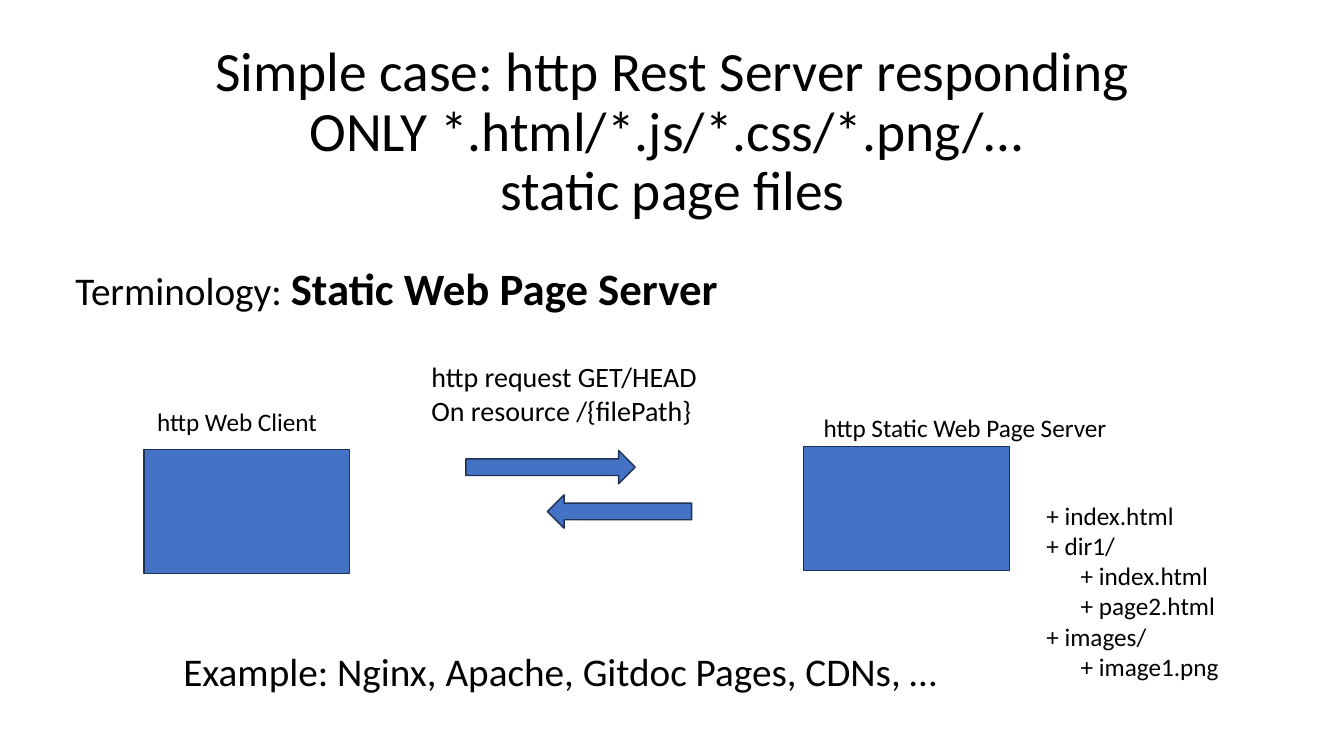
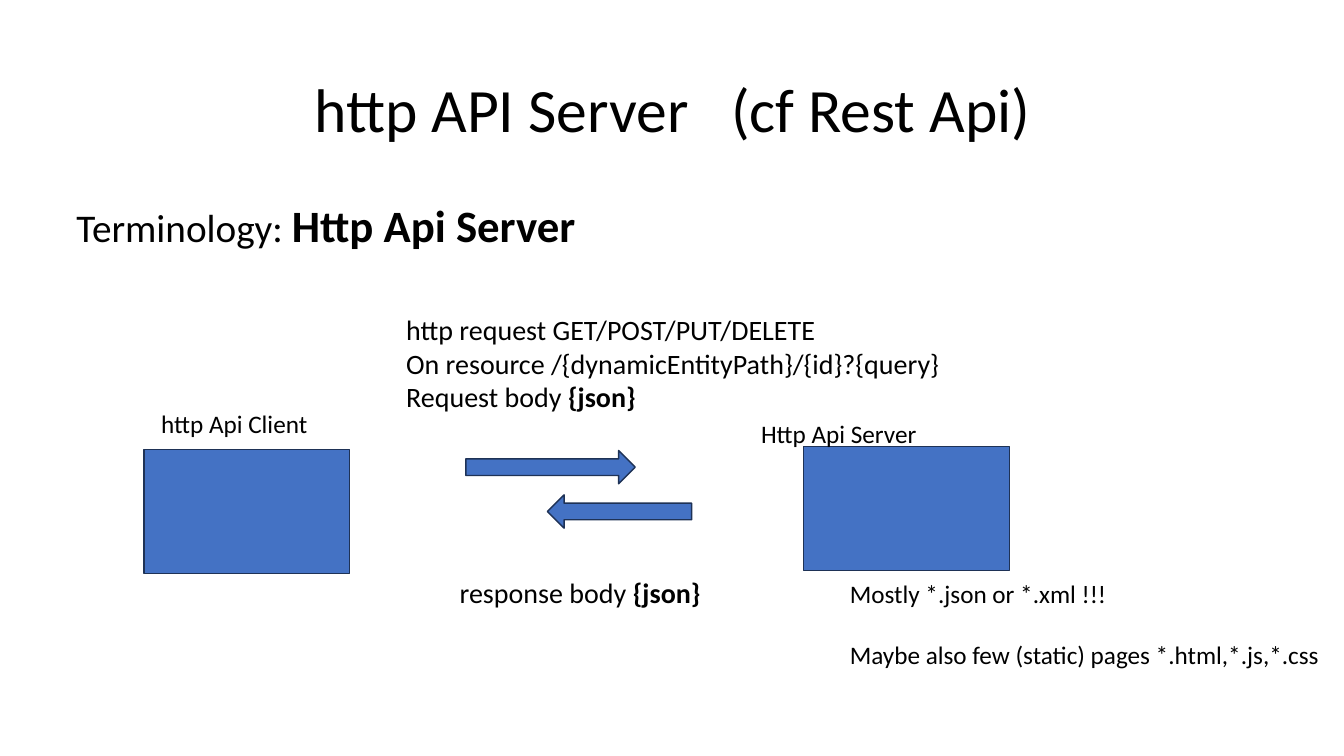
from pptx import Presentation
from pptx.dml.color import RGBColor
from pptx.enum.shapes import MSO_SHAPE
from pptx.enum.text import MSO_ANCHOR, MSO_AUTO_SIZE, PP_ALIGN
from pptx.util import Pt

PX = 9144  # 100 px to the inch
BLACK, BLUE, NAVY = "000000", "4472C4", "1E3256"
TREE_INDENT = 34
BOLD = {"bold": True}


def color(value):
    return RGBColor.from_string(value)


def add_runs(p, runs, size):
    """Add (text, format) runs; format holds font attributes and may hold spc.

    A newline in the text becomes a line break.
    """
    for text, fmt in runs:
        values = {"name": "Calibri", "size": Pt(size)} | fmt
        spc = values.pop("spc", None)
        for i, line in enumerate(text.split("\n")):
            if i:
                p.add_line_break()
            r = p.add_run()
            r.text = line
            r.font.color.rgb = color(BLACK)
            if spc:
                r._r.get_or_add_rPr().set("spc", str(spc))
            for name, value in values.items():
                setattr(r.font, name, value)


# Parts of the diagram that both slides share
DIAGRAM = [
    (MSO_SHAPE.RECTANGLE, (143, 446, 204, 123)),
    (MSO_SHAPE.RECTANGLE, (797, 443, 204, 123)),
    (MSO_SHAPE.RIGHT_ARROW, (462, 447, 168, 33)),
    (MSO_SHAPE.LEFT_ARROW, (543, 491, 143, 33)),
]

# Each text: box, size, paragraphs of (runs, left indent, points before)
SLIDES = [
    {
        "title": [("Simple case: http Rest Server responding\n"
                   "ONLY *.html/*.js/*.css/*.png/… \nstatic page files", {})],
        "title_box": (92, 40, 1150, 184),
        "title_size": 39.6,
        "texts": [
            ((65, 254, 663, 64), 28, [
                ([("Terminology: ", {}),
                  ("Static Web Page Server", BOLD | {"size": Pt(32)})], 0, 0)]),
            ((172, 637, 781, 57), 28, [
                ([("Example: Nginx, Apache, Gitdoc Pages, CDNs, …", {})], 0, 0)]),
            ((418, 352, 290, 77), 20, [
                ([("http request GET/HEAD", {})], 0, 0),
                ([("On resource /{filePath}", {})], 0, 0)]),
            ((807, 404, 305, 40), 18, [
                ([("http Static Web Page Server", {})], 0, 0)]),
            ((146, 398, 181, 40), 18, [([("http Web Client", {})], 0, 0)]),
            ((1028, 491, 193, 192), 18, [
                ([("+ " + name, {})], level * TREE_INDENT, 0)
                for name, level in [
                    ("index.html", 0), ("dir1/", 0), ("index.html", 1),
                    ("page2.html", 1), ("images/", 0), ("image1.png", 1)]]),
        ],
    },
    {
        "title": [("http API Server", {}), (" ", {"spc": 2000}),
                  ("(cf Rest Api)", {})],
        "title_box": (92, 39, 1150, 145),
        "title_size": 44,
        "texts": [
            ((66, 191, 521, 64), 28, [
                ([("Terminology: ", {}),
                  ("Http Api Server", BOLD | {"size": Pt(32)})], 0, 0)]),
            ((393, 305, 573, 111), 20, [
                ([("http request GET/POST/PUT/DELETE", {})], 0, 0),
                ([("On resource /{dynamicEntityPath}/{id}?{query}", {})], 0, 0),
                ([("Request body ", {}), ("{json}", BOLD)], 0, 0)]),
            ((745, 410, 177, 40), 18, [([("Http Api Server", {})], 0, 0)]),
            ((833, 569, 491, 131), 18, [
                ([("Mostly *.json or *.xml !!!", {})], 0, 0),
                ([("Maybe also few (static) pages *.html,*.js,*.css", {})], 0, 22)]),
            ((150, 400, 168, 40), 18, [([("http Api Client", {})], 0, 0)]),
            ((446, 566, 261, 44), 20, [
                ([("response body ", {}), ("{json}", BOLD)], 0, 0)]),
        ],
    },
]

prs = Presentation()
prs.slide_width, prs.slide_height = 1333 * PX, 750 * PX

for content in SLIDES:
    s = prs.slides.add_slide(prs.slide_layouts[5])

    title = s.shapes.title
    title.left, title.top, title.width, title.height = (
        v * PX for v in content["title_box"])
    tf = title.text_frame
    tf.auto_size = MSO_AUTO_SIZE.NONE
    tf.word_wrap = True
    tf.vertical_anchor = MSO_ANCHOR.MIDDLE
    p = tf.paragraphs[0]
    p.alignment = PP_ALIGN.CENTER
    p.line_spacing = 0.9
    add_runs(p, content["title"], content["title_size"])

    for kind, box in DIAGRAM:
        sp = s.shapes.add_shape(kind, *(v * PX for v in box))
        sp.shadow.inherit = False
        sp.fill.solid()
        sp.fill.fore_color.rgb = color(BLUE)
        sp.line.color.rgb = color(NAVY)
        sp.line.width = Pt(1)

    for box, size, paragraphs in content["texts"]:
        tf = s.shapes.add_textbox(*(v * PX for v in box)).text_frame
        tf.word_wrap = False
        tf.auto_size = MSO_AUTO_SIZE.SHAPE_TO_FIT_TEXT
        for i, (runs, indent, before) in enumerate(paragraphs):
            p = tf.add_paragraph() if i else tf.paragraphs[0]
            if indent:
                p._p.get_or_add_pPr().set("marL", str(indent * PX))
            if before:
                p.space_before = Pt(before)
            add_runs(p, runs, size)

prs.save("out.pptx")
